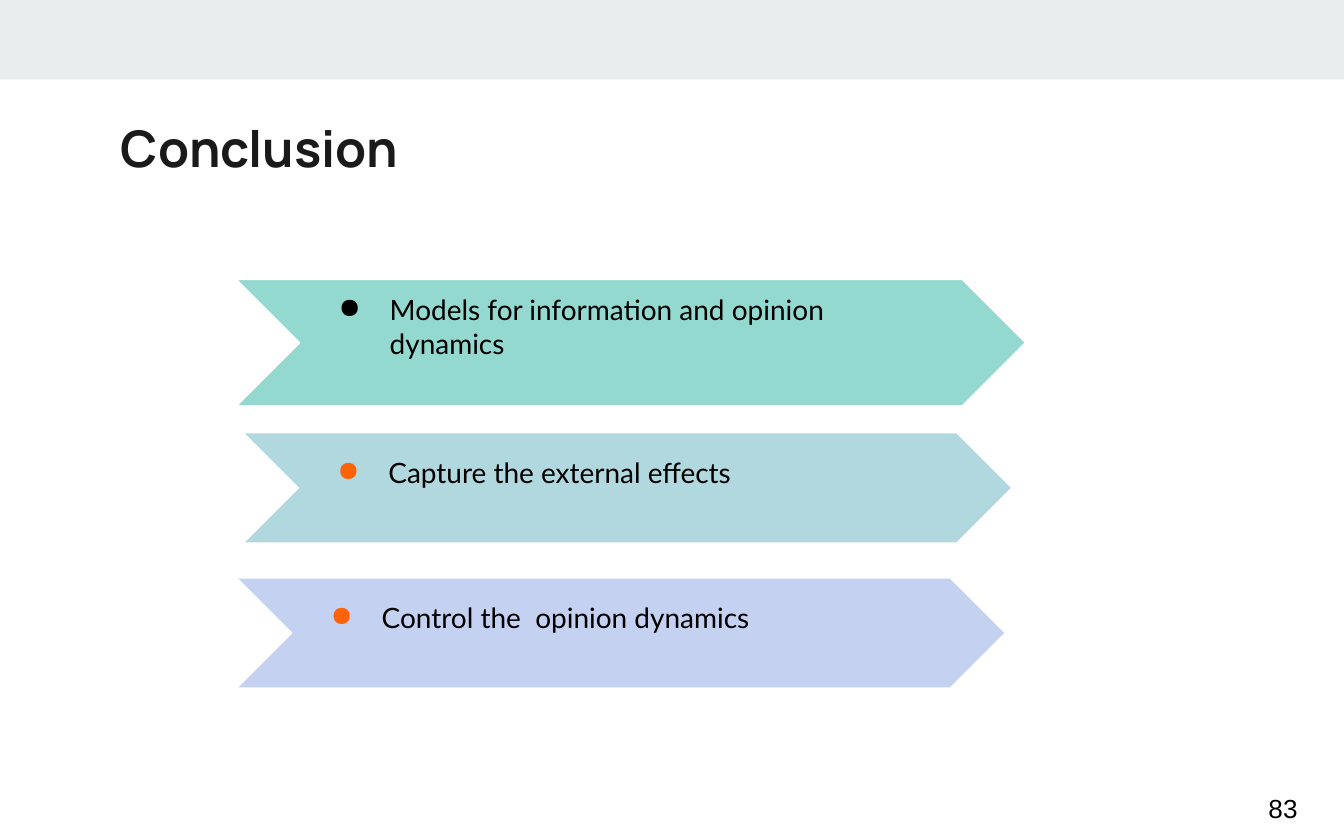
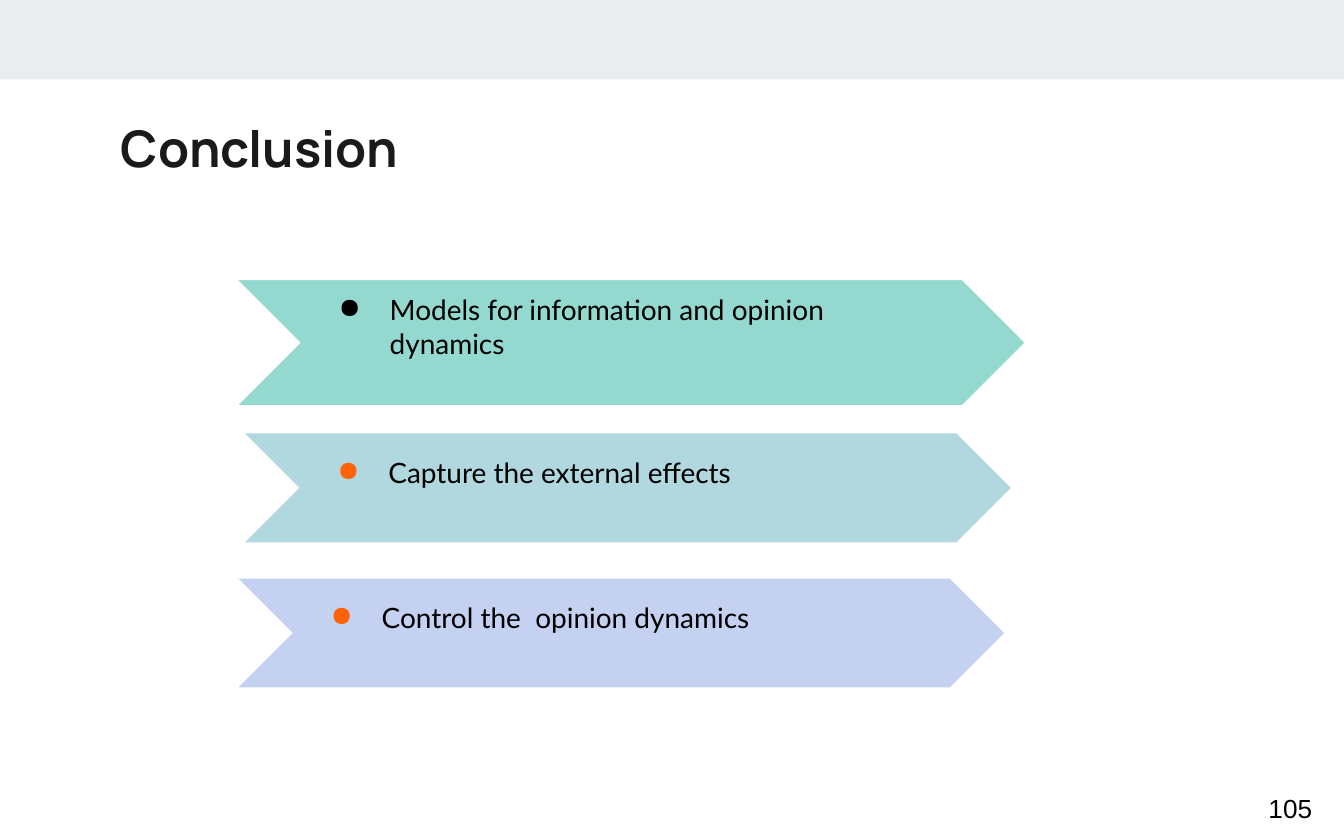
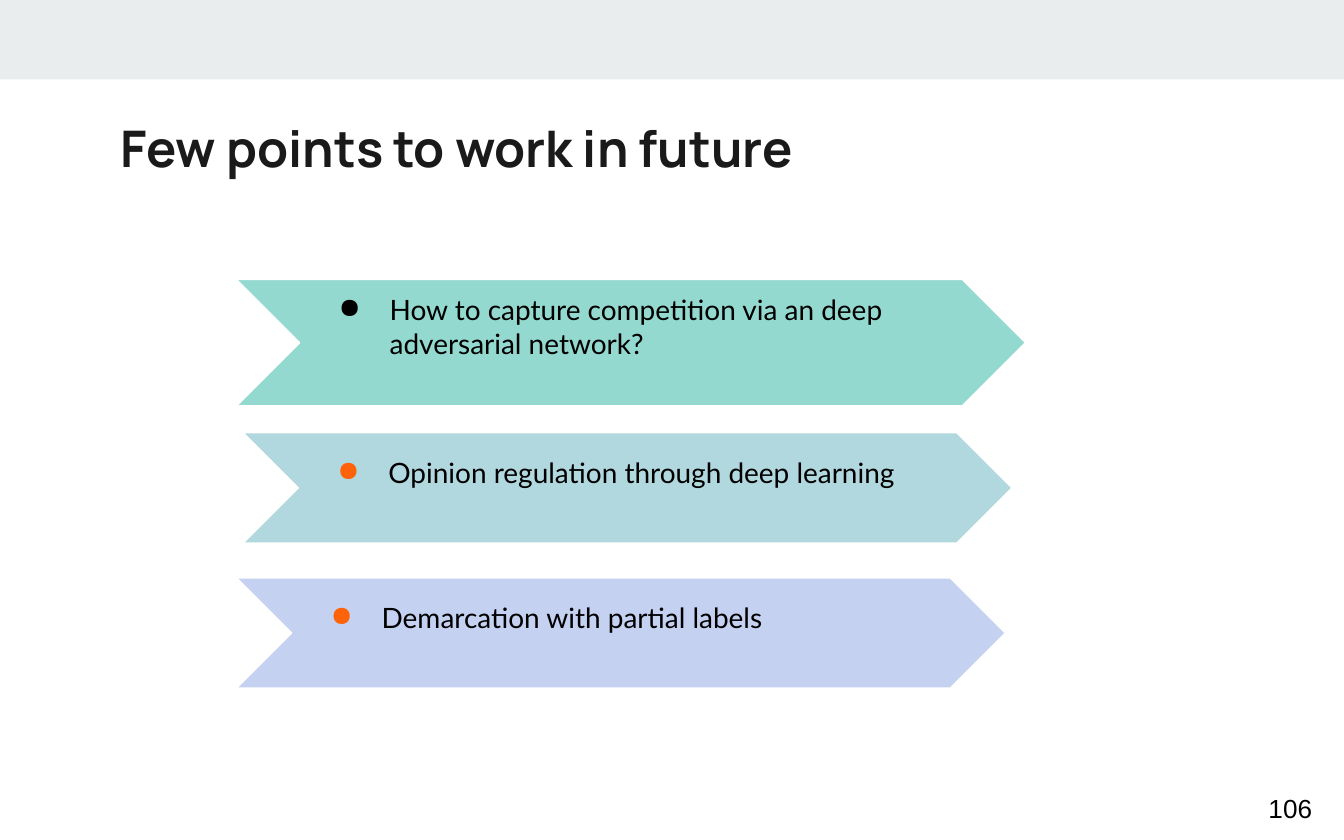
from typing import NamedTuple

from lxml.etree import SubElement as Sub
from pptx import Presentation
from pptx.dml.color import RGBColor as Rgb
from pptx.enum.shapes import MSO_SHAPE as Geo
from pptx.enum.text import MSO_ANCHOR as Anchor, MSO_AUTO_SIZE as Fit, PP_ALIGN as Align
from pptx.oxml.ns import qn
from pptx.util import Inches, Pt

COLORS = {
    "band": "E9EDEE",
    "title": "1A1A1A",
    "text": "000000",
    "edge": "FFFFFF",
    "teal": "1DAF9B",
    "aqua": "B1D8DE",
    "blue": "C4D1F1",
    "orange": "FF6309",
}


class Arrow(NamedTuple):
    left: float
    top: float
    width: float
    height: float
    fill: str
    bullet: str
    inset: float
    alpha: int = 100


class Page(NamedTuple):
    title: str
    number: int
    points: tuple[str, str, str]


ARROWS = (
    Arrow(1.76, 2.08, 5.87, 0.94, "teal", "text", 0.1, 47),
    Arrow(1.81, 3.22, 5.72, 0.82, "aqua", "orange", 0.17),
    Arrow(1.76, 4.3, 5.72, 0.82, "blue", "orange", 0.17),
)

SUMMARY = (
    "Models for information and opinion dynamics",
    "Capture the external effects",
    "Control the  opinion dynamics",
)
FUTURE = (
    "How to capture competition via an deep adversarial network?",
    "Opinion regulation through deep learning",
    "Demarcation with partial labels",
)
PAGES = (
    Page("Conclusion", 83, SUMMARY),
    Page("Conclusion", 105, SUMMARY),
    Page("Few points to work in future", 106, FUTURE),
)


def color(name: str) -> Rgb:
    return Rgb.from_string(COLORS[name])


def add_bullet(para, tint: str) -> None:
    """Give the paragraph a round bullet with a hanging indent."""
    props = para._p.get_or_add_pPr()
    props.set("marL", str(Inches(0.53)))
    props.set("indent", str(Inches(-0.38)))
    Sub(Sub(props, qn("a:buClr")), qn("a:srgbClr"), val=COLORS[tint])
    Sub(props, qn("a:buChar"), char="●")


def write(shape, text: str, face: str, size: int, tint: str, *, bold: bool = False,
          anchor: Anchor = Anchor.TOP, inset: float = 0.1, top: float = 0.1,
          bullet: str = "") -> None:
    """Fill the shape with one left-aligned paragraph."""
    frame = shape.text_frame
    frame.word_wrap = True
    frame.auto_size = Fit.NONE
    frame.vertical_anchor = anchor
    frame.margin_left = frame.margin_right = frame.margin_bottom = Inches(inset)
    frame.margin_top = Inches(top)
    frame.text = text
    para = frame.paragraphs[0]
    para.alignment = Align.LEFT
    if bullet:
        add_bullet(para, bullet)
    font = para.font
    font.name, font.size, font.bold = face, Pt(size), bold
    font.color.rgb = color(tint)


def add_solid(slide, kind: Geo, box: tuple[float, ...], fill: str):
    shape = slide.shapes.add_shape(kind, *map(Inches, box))
    shape.shadow.inherit = False
    shape.fill.solid()
    shape.fill.fore_color.rgb = color(fill)
    shape.line.fill.background()
    return shape


def add_frame(slide, page: Page) -> None:
    """Draw the band, title and page number."""
    add_solid(slide, Geo.RECTANGLE, (0, 0, 10, 0.59), "band")
    title = slide.shapes.title
    title.left, title.top = Inches(0.8), Inches(0.77)
    title.width, title.height = Inches(8.41), Inches(0.65)
    write(title, page.title, "Manrope", 27, "title", bold=True)
    number = slide.shapes.add_textbox(*map(Inches, (9.34, 5.77, 0.6, 0.48)))
    write(number, str(page.number), "Arial", 14, "text", anchor=Anchor.MIDDLE)


def add_arrow(slide, arrow: Arrow, text: str) -> None:
    shape = add_solid(slide, Geo.CHEVRON, arrow[:4], arrow.fill)
    shape.adjustments[0] = 0.5
    shape.line.color.rgb = color("edge")
    shape.line.width = Pt(0.75)
    if arrow.alpha < 100:
        tint = shape.element.spPr.find(qn("a:solidFill")).find(qn("a:srgbClr"))
        Sub(tint, qn("a:alpha"), val=str(arrow.alpha * 1000))
    write(shape, text, "Lato", 15, "text", inset=0.14, top=arrow.inset,
          bullet=arrow.bullet)


def main() -> None:
    deck = Presentation()
    deck.slide_width, deck.slide_height = Inches(10), Inches(6.25)
    layout = deck.slide_layouts.get_by_name("Title Only")
    for page in PAGES:
        slide = deck.slides.add_slide(layout)
        add_frame(slide, page)
        for arrow, text in zip(ARROWS, page.points):
            add_arrow(slide, arrow, text)
    deck.save("out.pptx")


if __name__ == "__main__":
    main()
